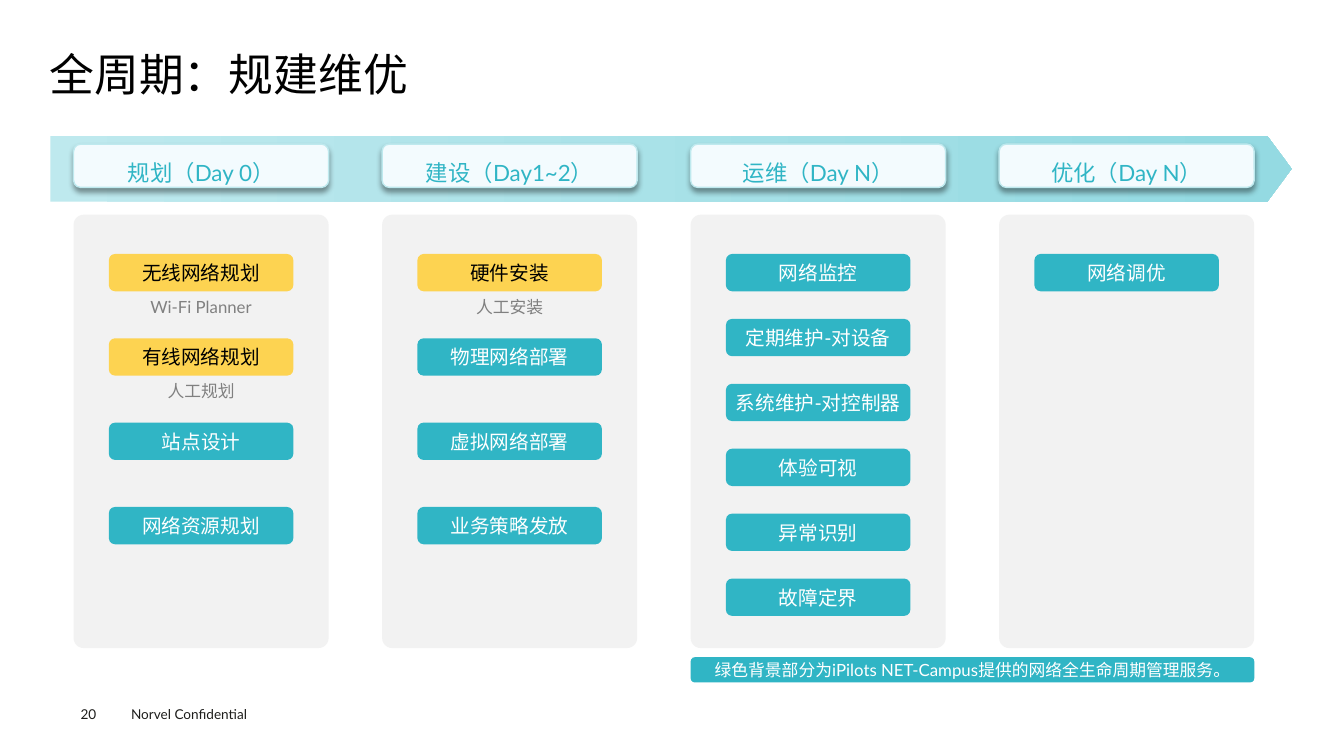
from dataclasses import dataclass

from lxml import etree
from pptx import Presentation
from pptx.dml.color import RGBColor
from pptx.enum import shapes, text
from pptx.oxml import ns
from pptx.util import Inches, Pt

FONT = "Lato"
COLORS = {
    "black": "000000",
    "white": "FFFFFF",
    "footer": "1D1D1B",
    "note": "808080",
    "teal": "30B5C5",
    "yellow": "FDD351",
    "panel": "F2F2F2",
    "header": "F3FBFE",
    "band_start": "BEE9EE",
    "band_end": "94DAE2",
}
LEFT, PITCH, WIDTH = 0.73, 3.06, 2.53
TASK_INDENT, TASK_WIDTH, TASK_HEIGHT, FIRST_TOP = 0.35, 1.83, 0.37, 2.52


@dataclass
class Task:
    """A step in a phase, with an optional note for work done by other means."""
    name: str
    note: str = ""
    note_width: float = 0.88


@dataclass
class Phase:
    """A column: its header, its tasks and the top of the last task."""
    title: str
    tasks: list[Task]
    last_top: float = FIRST_TOP


PHASES = [
    Phase("规划（Day 0）", [Task("无线网络规划", "Wi-Fi Planner", 1.33), Task("有线网络规划", "人工规划"),
                        Task("站点设计"), Task("网络资源规划")], 5.03),
    Phase("建设（Day1~2）", [Task("硬件安装", "人工安装"), Task("物理网络部署"),
                         Task("虚拟网络部署"), Task("业务策略发放")], 5.03),
    Phase("运维（Day N）", [Task("网络监控"), Task("定期维护-对设备"), Task("系统维护-对控制器"),
                        Task("体验可视"), Task("异常识别"), Task("故障定界")], 5.74),
    Phase("优化（Day N）", [Task("网络调优")]),
]


def rgb(name: str) -> RGBColor:
    """Return a palette colour."""
    return RGBColor.from_string(COLORS[name])


def write(sp, words: str, size: float, color: str, align=text.PP_ALIGN.CENTER, spacing: float = 1.0,
          inset: float = 0) -> None:
    """Write one formatted run into a shape, with side insets in inches."""
    tf = sp.text_frame
    tf.word_wrap = True
    tf.vertical_anchor = text.MSO_ANCHOR.MIDDLE
    tf.margin_left = tf.margin_right = Inches(inset)
    tf.margin_top = tf.margin_bottom = 0
    p = tf.paragraphs[0]
    p.alignment = align
    p.line_spacing = spacing
    r = p.add_run()
    r.text = words
    r.font.name = FONT
    r.font.size = Pt(size)
    r.font.color.rgb = rgb(color)


def add_box(s, left: float, top: float, width: float, height: float, fill: str):
    """Add a plain rounded box without outline or shadow."""
    sp = s.shapes.add_shape(shapes.MSO_SHAPE.ROUNDED_RECTANGLE,
                            Inches(left), Inches(top), Inches(width), Inches(height))
    sp.shadow.inherit = False
    sp.fill.solid()
    sp.fill.fore_color.rgb = rgb(fill)
    sp.line.fill.background()
    return sp


def add_label(s, left: float, top: float, width: float, height: float, words: str, size: float,
              color: str, align=text.PP_ALIGN.CENTER):
    """Add a text box holding one run."""
    sp = s.shapes.add_textbox(Inches(left), Inches(top), Inches(width), Inches(height))
    write(sp, words, size, color, align)
    return sp


def add_band(s) -> None:
    """Add the gradient arrow behind the phase headers."""
    sp = s.shapes.add_shape(shapes.MSO_SHAPE.RIGHT_ARROW,
                            Inches(0.5), Inches(1.35), Inches(12.31), Inches(0.65))
    sp.adjustments[0], sp.adjustments[1] = 1, 0.37
    sp.shadow.inherit = False
    sp.line.fill.background()
    sp.fill.gradient()
    sp.fill.gradient_angle = 0
    stops = zip(sp.fill.gradient_stops, (0, 0.96), ("band_start", "band_end"))
    for stop, position, color in stops:
        stop.position = position
        stop.color.rgb = rgb(color)


def add_header(s, left: float, title: str) -> None:
    """Add a phase header with a soft shadow below it."""
    sp = add_box(s, left, 1.43, WIDTH, 0.43, "header")
    sp.line.color.rgb = rgb("band_start")
    sp.line.width = Pt(1)
    effects = sp._element.spPr.find(ns.qn("a:effectLst"))
    shadow = etree.SubElement(effects, ns.qn("a:outerShdw"), blurRad=str(Pt(4)), dist=str(Pt(3)),
                              dir="5400000", algn="t", rotWithShape="0")
    color = etree.SubElement(shadow, ns.qn("a:srgbClr"), val=COLORS["black"])
    etree.SubElement(color, ns.qn("a:alpha"), val="40000")
    write(sp, title, 16, "teal", spacing=1.5, inset=0.1)


def add_task(s, left: float, top: float, task: Task) -> None:
    """Add a task box, yellow with a note below when it has one."""
    sp = add_box(s, left, top, TASK_WIDTH, TASK_HEIGHT, "yellow" if task.note else "teal")
    write(sp, task.name, 14, "black" if task.note else "white")
    if task.note:
        note_left = left + (TASK_WIDTH - task.note_width) / 2
        note = add_label(s, note_left, top + TASK_HEIGHT, task.note_width, 0.3, task.note, 12, "note")
        note.text_frame.word_wrap = False


def add_phase(s, left: float, phase: Phase) -> None:
    """Add a phase column with evenly spaced tasks."""
    add_header(s, left, phase.title)
    panel = add_box(s, left, 2.13, WIDTH, 4.3, "panel")
    panel.adjustments[0] = 0.04
    step = (phase.last_top - FIRST_TOP) / max(len(phase.tasks) - 1, 1)
    for row, task in enumerate(phase.tasks):
        add_task(s, left + TASK_INDENT, FIRST_TOP + row * step, task)


def main() -> None:
    """Build the slide and save it."""
    prs = Presentation()
    prs.slide_width, prs.slide_height = Inches(13.33), Inches(7.5)
    s = prs.slides.add_slide(prs.slide_layouts[5])

    title = s.shapes.title
    title.left, title.top, title.width, title.height = map(Inches, (0.49, 0.49, 12.35, 0.54))
    write(title, "全周期：规建维优", 32, "black", text.PP_ALIGN.LEFT, 0.9)
    title.text_frame.auto_size = text.MSO_AUTO_SIZE.NONE

    add_band(s)
    for column, phase in enumerate(PHASES):
        add_phase(s, LEFT + column * PITCH, phase)

    legend = add_box(s, LEFT + 2 * PITCH, 6.52, PITCH + WIDTH, 0.25, "teal")
    write(legend, "绿色背景部分为iPilots NET-Campus提供的网络全生命周期管理服务。", 12, "white")

    add_label(s, 0.8, 7, 0.4, 0.16, "20", 9.7, "footer", text.PP_ALIGN.LEFT)
    add_label(s, 1.3, 6.95, 1.6, 0.27, "Norvel Confidential", 9.7, "footer", text.PP_ALIGN.LEFT)
    prs.save("out.pptx")


if __name__ == "__main__":
    main()
